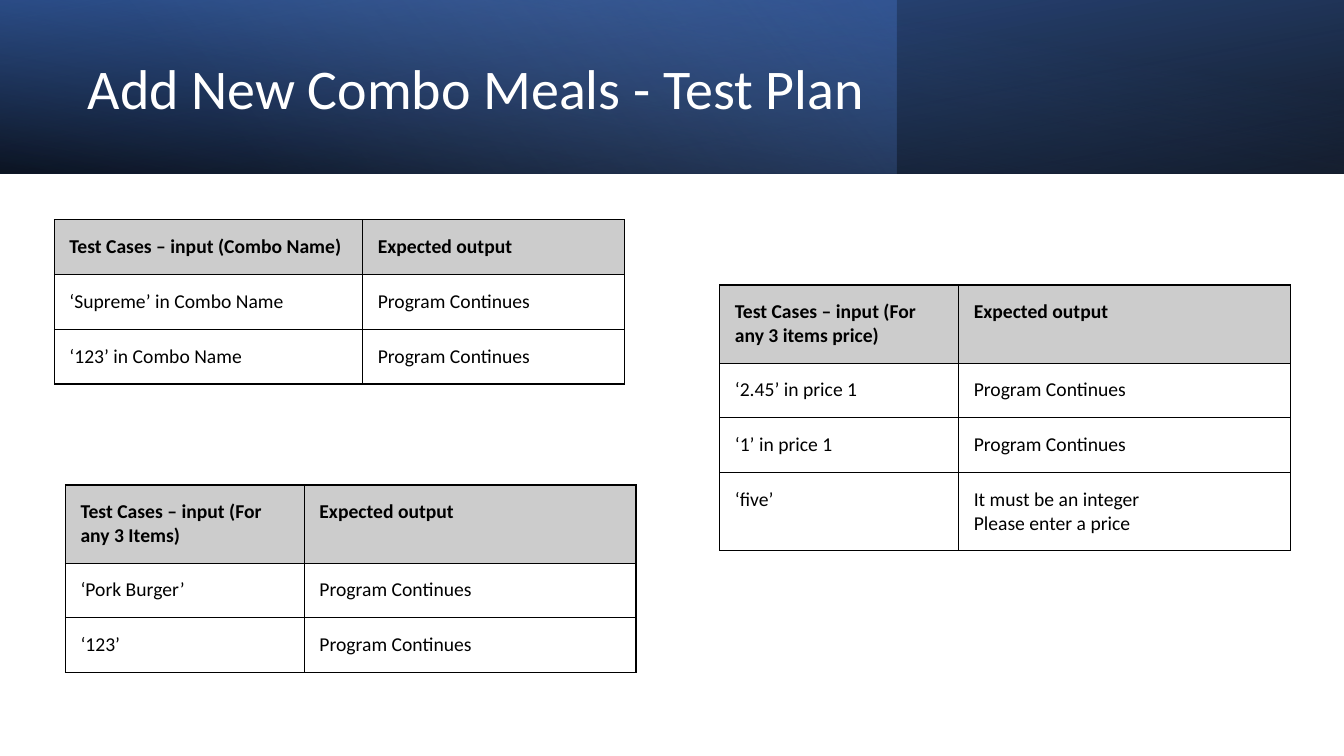
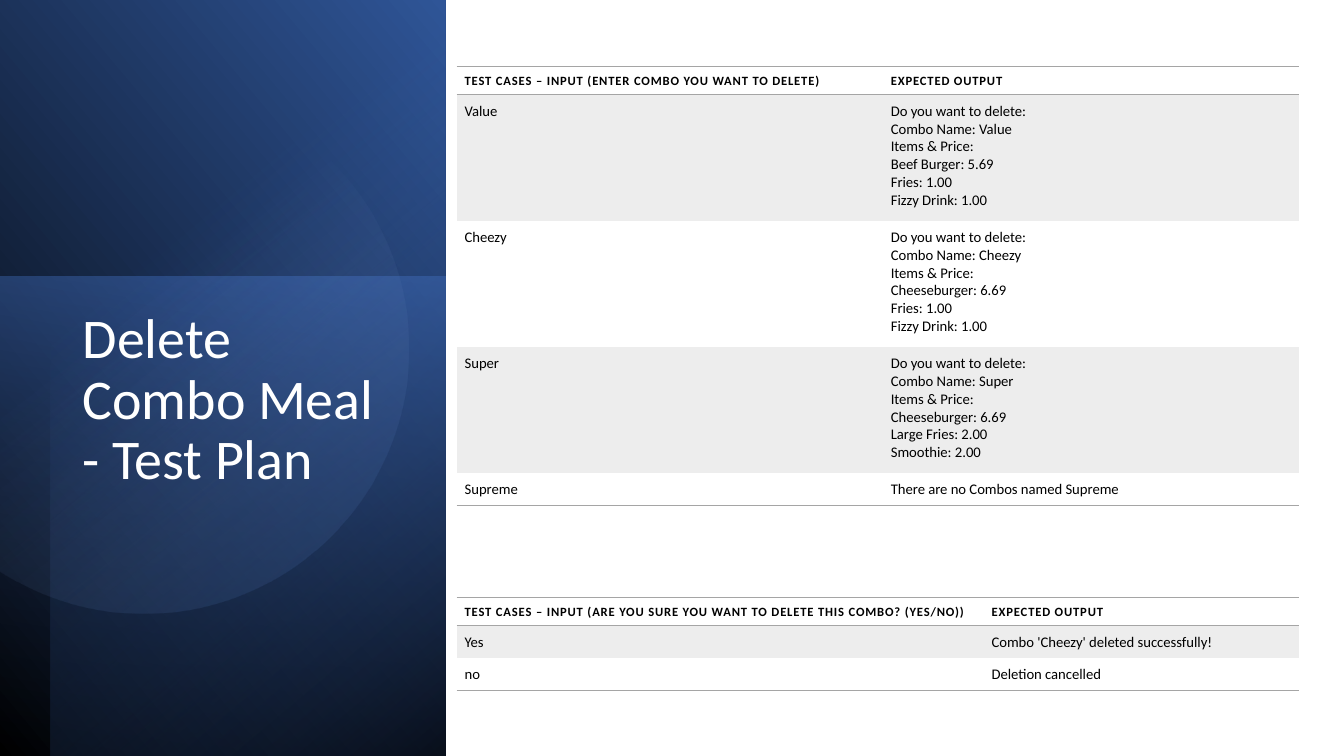
import math

from lxml import etree
from pptx import Presentation
from pptx.dml import color
from pptx.enum import shapes, text
from pptx.oxml import ns
from pptx.util import Cm, Pt

COLORS = {
    "black": "000000", "white": "FFFFFF", "navy": "203864", "deep": "2F5597",
    "blue": "4472C4", "light": "8FAADC", "header": "CCCCCC", "band": "EDEDED",
    "rule": "A5A5A5",
}
FONT = "Calibri"
NO_STYLE = "{2D5ABB26-0587-4C30-8999-92F81FD0307C}"
GRID_LINE, GRID_TALL = 1.38, 1.97
RULED_HEAD, RULED_LINE, RULED_BLOCK = 0.7, 0.82, 3.18
CONTINUES = "Program Continues"


def rgb(name):
    """Return the named colour."""
    return color.RGBColor.from_string(COLORS[name])


def sub(parent, tag, **attrs):
    """Append a DrawingML child element and return it."""
    el = etree.SubElement(parent, ns.qn(tag))
    for key, value in attrs.items():
        el.set(key, str(value))
    return el


def add_color(parent, name, alpha=100):
    """Append a colour with its opacity in percent."""
    clr = sub(parent, "a:srgbClr", val=COLORS[name])
    if alpha < 100:
        sub(clr, "a:alpha", val=alpha * 1000)


def paint_gradient(sp, stops, angle):
    """Fill a shape with (position, colour, opacity) stops along a clockwise angle."""
    sp.shadow.inherit = False
    sp.line.fill.background()
    sp.fill.background()
    no_fill = sp._element.spPr.find(ns.qn("a:noFill"))
    grad = etree.Element(ns.qn("a:gradFill"), rotWithShape="1")
    gs_list = sub(grad, "a:gsLst")
    for pos, name, alpha in stops:
        add_color(sub(gs_list, "a:gs", pos=pos * 1000), name, alpha)
    sub(grad, "a:lin", ang=angle * 60000, scaled=0)
    no_fill.getparent().replace(no_fill, grad)


def add_panel(slide, box, stops, angle, rotation=0, flip=False):
    """Add a borderless gradient rectangle."""
    sp = slide.shapes.add_shape(shapes.MSO_SHAPE.RECTANGLE, *map(Cm, box))
    sp.rotation = rotation
    if flip:
        sp._element.spPr.xfrm.set("flipH", "1")
    paint_gradient(sp, stops, angle)


def add_cut_circle(slide, cx, cy, radius, stops, angle):
    """Add a circle cut off by the left edge of the slide."""
    limit = math.acos(-cx / radius)
    steps = 120
    turns = [limit * (2 * i / steps - 1) for i in range(steps + 1)]
    points = [(Cm(cx + radius * math.cos(t)), Cm(cy + radius * math.sin(t)))
              for t in turns]
    builder = slide.shapes.build_freeform(*points[0])
    builder.add_line_segments(points[1:], close=True)
    paint_gradient(builder.convert_to_shape(), stops, angle)


def set_title(slide, title, box, anchor):
    """Place the title placeholder above the panels and format it."""
    sp = slide.shapes.title
    slide.shapes._spTree.append(sp._element)
    sp.left, sp.top, sp.width, sp.height = map(Cm, box)
    tf = sp.text_frame
    tf.text = title
    tf.word_wrap = True
    tf.auto_size = text.MSO_AUTO_SIZE.NONE
    tf.vertical_anchor = anchor
    p = tf.paragraphs[0]
    p.alignment = text.PP_ALIGN.LEFT
    p.line_spacing = 0.9
    set_font(p, 40, "white")


def set_font(p, size, name="black", bold=False, spacing=0):
    """Format a whole paragraph."""
    font = p.font
    font.name, font.size, font.bold = FONT, Pt(size), bold
    font.color.rgb = rgb(name)
    if spacing:
        font._element.set("spc", str(spacing))


def set_borders(cell, sides, name):
    """Draw one-point lines on the given sides (L, R, T, B)."""
    tc_pr = cell._tc.get_or_add_tcPr()
    for side in "LRTB":
        if side in sides:
            ln = sub(tc_pr, "a:ln" + side, w=Pt(1))
            add_color(sub(ln, "a:solidFill"), name)


def fill_cell(cell, content, margins, fill, **font):
    """Write a cell with its margins, fill and font."""
    cell.text = content
    (cell.margin_left, cell.margin_top,
     cell.margin_right, cell.margin_bottom) = map(Cm, margins)
    for p in cell.text_frame.paragraphs:
        set_font(p, **font)
    if fill:
        cell.fill.solid()
        cell.fill.fore_color.rgb = rgb(fill)
    else:
        cell.fill.background()


def add_plain_table(slide, left, top, widths, heights):
    """Add an unstyled table of the given column widths and row heights."""
    frame = slide.shapes.add_table(
        len(heights), len(widths), Cm(left), Cm(top),
        Cm(sum(widths)), Cm(sum(heights)))
    table = frame.table
    table.first_row = table.horz_banding = False
    table._tbl.tblPr.find(ns.qn("a:tableStyleId")).text = NO_STYLE
    for column, width in zip(table.columns, widths):
        column.width = Cm(width)
    for row, height in zip(table.rows, heights):
        row.height = Cm(height)
    return table


def add_grid_table(slide, left, top, widths, heights, rows):
    """Add a table with a full black grid and a grey header."""
    table = add_plain_table(slide, left, top, widths, heights)
    for i, row in enumerate(rows):
        for j, content in enumerate(row):
            cell = table.cell(i, j)
            set_borders(cell, "LRTB", "black")
            fill_cell(cell, content, [0.38] * 4, None if i else "header",
                      size=14, bold=i == 0)


def add_ruled_table(slide, left, top, widths, heights, rows):
    """Add a table with horizontal rules and banded rows."""
    table = add_plain_table(slide, left, top, widths, heights)
    for i, row in enumerate(rows):
        for j, content in enumerate(row):
            cell = table.cell(i, j)
            if i == 0:
                set_borders(cell, "TB", "rule")
                cell.vertical_anchor = text.MSO_ANCHOR.BOTTOM
                fill_cell(cell, content, (0.2, 0.15, 0.2, 0.15), None,
                          size=9, bold=True, spacing=60)
            else:
                set_borders(cell, "B" if i == len(rows) - 1 else "", "rule")
                fill_cell(cell, content, (0.2, 0.2, 0.2, 0.15),
                          "band" if i % 2 else None, size=10.5)


def delete_prompt(combo, *items):
    """Return the confirmation text for a combo."""
    return "\n".join(("Do you want to delete:", f"Combo Name: {combo}",
                      "Items & Price:") + items)


def add_title_slide(prs):
    """Add a slide with only a title placeholder."""
    return prs.slides.add_slide(prs.slide_layouts[5])


def build_add_slide(prs):
    """Build the test plan for adding combos."""
    slide = add_title_slide(prs)
    band = (0, 0, 33.87, 4.37)
    add_panel(slide, band, [(0, "black", 96), (100, "deep", 100)], 100, 180, True)
    add_panel(slide, (0, 0, 22.59, 4.37),
              [(0, "blue", 41), (74, "light", 0)], 140)
    add_panel(slide, band, [(0, "black", 63), (78, "blue", 15)], 260, flip=True)
    set_title(slide, "Add New Combo Meals - Test Plan",
              (1.96, 0.69, 29.11, 3.23), text.MSO_ANCHOR.MIDDLE)

    expected = "Expected output"
    add_grid_table(slide, 1.37, 5.54, (7.77, 6.6), [GRID_LINE] * 3, [
        ("Test Cases – input (Combo Name)", expected),
        ("‘Supreme’ in Combo Name", CONTINUES),
        ("‘123’ in Combo Name", CONTINUES)])
    widths = (6.02, 8.36)
    add_grid_table(slide, 1.65, 12.22, widths,
                   [GRID_TALL, GRID_LINE, GRID_LINE], [
        ("Test Cases – input (For any 3 Items)", expected),
        ("‘Pork Burger’", CONTINUES),
        ("‘123’", CONTINUES)])
    add_grid_table(slide, 18.14, 7.18, widths,
                   [GRID_TALL, GRID_LINE, GRID_LINE, GRID_TALL], [
        ("Test Cases – input (For any 3 items price)", expected),
        ("‘2.45’ in price 1", CONTINUES),
        ("‘1’ in price 1", CONTINUES),
        ("‘five’", "It must be an integer\nPlease enter a price")])


def build_delete_slide(prs):
    """Build the test plan for deleting combos."""
    slide = add_title_slide(prs)
    add_panel(slide, (-3.94, 3.94, 19.1, 11.23),
              [(0, "black", 100), (100, "deep", 100)], 310, 90, True)
    add_panel(slide, (-0.43, 7.39, 12.09, 11.23),
              [(0, "blue", 50), (100, "navy", 0)], 190, 270)
    add_panel(slide, (-3.28, 4.55, 19.05, 9.96),
              [(0, "black", 59), (69, "blue", 0)], 220, 270, True)
    add_cut_circle(slide, 3.63, 8.79, 6.67,
                   [(39, "light", 0), (100, "deep", 26)], 52)
    set_title(slide, "Delete Combo Meal - Test Plan",
              (1.83, 7.7, 8, 8.53), text.MSO_ANCHOR.TOP)

    left, expected = 11.51, "EXPECTED OUTPUT"
    add_ruled_table(slide, left, 1.68, (10.74, 10.49),
                    [RULED_HEAD] + [RULED_BLOCK] * 3 + [RULED_LINE], [
        ("TEST CASES – INPUT (ENTER COMBO YOU WANT TO DELETE)", expected),
        ("Value", delete_prompt("Value", "Beef Burger: 5.69", "Fries: 1.00",
                                "Fizzy Drink: 1.00")),
        ("Cheezy", delete_prompt("Cheezy", "Cheeseburger: 6.69", "Fries: 1.00",
                                 "Fizzy Drink: 1.00")),
        ("Super", delete_prompt("Super", "Cheeseburger: 6.69",
                                "Large Fries: 2.00", "Smoothie: 2.00")),
        ("Supreme", "There are no Combos named Supreme")])
    add_ruled_table(slide, left, 15.06, (13.28, 7.95),
                    [RULED_HEAD, RULED_LINE, RULED_LINE], [
        ("TEST CASES – INPUT (ARE YOU SURE YOU WANT TO DELETE THIS COMBO? (YES/NO))",
         expected),
        ("Yes", "Combo 'Cheezy' deleted successfully!"),
        ("no", "Deletion cancelled")])


def main():
    """Build and save the presentation."""
    prs = Presentation()
    prs.slide_width, prs.slide_height = Cm(33.87), Cm(19.05)
    build_add_slide(prs)
    build_delete_slide(prs)
    prs.save("out.pptx")


if __name__ == "__main__":
    main()
